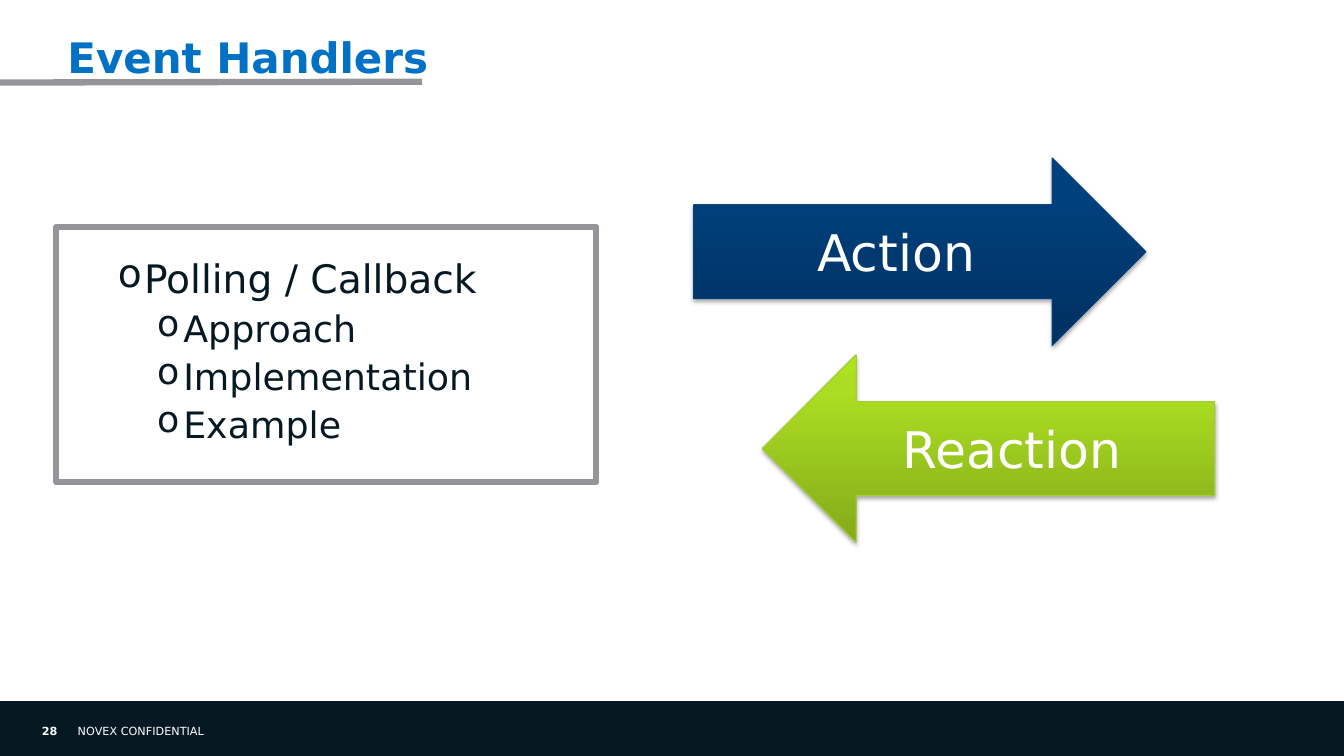
from copy import deepcopy

from pptx import Presentation
from pptx.dml.color import RGBColor
from pptx.enum.shapes import MSO_CONNECTOR, MSO_SHAPE
from pptx.enum.text import MSO_ANCHOR, MSO_AUTO_SIZE, PP_ALIGN
from pptx.oxml import parse_xml
from pptx.oxml.ns import nsdecls, qn
from pptx.util import Cm, Pt

FONT = "DejaVu Sans"
NAVY, GREY, WHITE, BLUE = "061922", "939598", "FFFFFF", "0071C5"
NO_INSETS = dict.fromkeys(
    ("margin_left", "margin_top", "margin_right", "margin_bottom"), 0)


def color(hex_value):
    return RGBColor.from_string(hex_value)


def assign(target, values):
    for name, value in values.items():
        setattr(target, name, value)


def write(paragraph, text, size, hex_value, bold=False, **layout):
    assign(paragraph, layout)
    run = paragraph.add_run()
    run.text = text
    assign(run.font, {"name": FONT, "size": Pt(size), "bold": bold})
    run.font.color.rgb = color(hex_value)


def outline(line, hex_value, width):
    line.color.rgb = color(hex_value)
    line.width = Pt(width)


def add_title(slide, left, top, width, height):
    title = slide.shapes.title
    assign(title, {"left": left, "top": top, "width": width, "height": height})
    assign(title.text_frame, {**NO_INSETS, "word_wrap": True,
                              "vertical_anchor": MSO_ANCHOR.TOP,
                              "auto_size": MSO_AUTO_SIZE.NONE})
    write(title.text_frame.paragraphs[0], "Event Handlers", 30, BLUE, True,
          alignment=PP_ALIGN.LEFT, line_spacing=Pt(26))

    # Underline running in from the slide edge
    underline = slide.shapes.add_connector(
        MSO_CONNECTOR.STRAIGHT, 0, top + Cm(0.94), Cm(10.64), top + Cm(0.92))
    outline(underline.line, GREY, 4.5)
    underline._element.spPr.append(
        parse_xml(f"<a:effectLst {nsdecls('a')}/>"))


def add_topics(slide, left, top, width, height, topics):
    panel = slide.shapes.add_shape(
        MSO_SHAPE.RECTANGLE, left, top, width, height)
    panel.shadow.inherit = False
    panel.fill.background()
    outline(panel.line, GREY, 4.5)
    frame = panel.text_frame
    assign(frame, {**NO_INSETS, "margin_top": Cm(0.7), "word_wrap": True,
                   "vertical_anchor": MSO_ANCHOR.TOP})
    for index, (level, text) in enumerate(topics):
        paragraph = frame.add_paragraph() if index else frame.paragraphs[0]
        properties = paragraph._p.get_or_add_pPr()
        properties.set("marL", str(Cm(2.21 + 0.99 * (level - 1))))
        properties.set("indent", str(-Cm(0.66)))
        properties.append(parse_xml(f'<a:buChar {nsdecls("a")} char="o"/>'))
        write(paragraph, text, 30 - 2 * level, NAVY, level=level,
              alignment=PP_ALIGN.LEFT, space_before=Pt(3 if index else 0))


def add_arrow(slide, left, top, width, height, kind, text, stops, edge):
    arrow = slide.shapes.add_shape(kind, left, top, width, height)

    # Gradient rising from the dark bottom edge
    arrow.fill.gradient()
    arrow.fill.gradient_angle = 90
    stop_list = arrow._element.spPr.find(".//" + qn("a:gsLst"))
    stop_list.append(deepcopy(stop_list[-1]))
    for stop, position, shade in zip(
            arrow.fill.gradient_stops, (0, 0.8, 1), stops):
        stop.position = position
        stop.color.rgb = color(shade)
    outline(arrow.line, edge, 0.75)

    # Soft shadow below
    arrow.shadow.inherit = False
    arrow._element.spPr.find(qn("a:effectLst")).append(parse_xml(
        f'<a:outerShdw {nsdecls("a")} blurRad="{Pt(3.1)}" dist="{Pt(1.8)}" '
        'dir="5400000" rotWithShape="0"><a:srgbClr val="000000">'
        '<a:alpha val="35000"/></a:srgbClr></a:outerShdw>'))

    assign(arrow.text_frame, {"word_wrap": True,
                              "vertical_anchor": MSO_ANCHOR.MIDDLE})
    write(arrow.text_frame.paragraphs[0], text, 36, WHITE,
          alignment=PP_ALIGN.CENTER)


def add_footer(slide, left, top, width, height):
    bar = slide.shapes.add_shape(MSO_SHAPE.RECTANGLE, left, top, width, height)
    bar.shadow.inherit = False
    bar.fill.solid()
    bar.fill.fore_color.rgb = color(NAVY)
    outline(bar.line, NAVY, 0.25)

    notice = slide.shapes.add_textbox(
        left + Cm(1.96), top + Cm(0.56), Cm(10.72), Cm(0.33))
    assign(notice.text_frame, {**NO_INSETS, "word_wrap": True})
    write(notice.text_frame.paragraphs[0], "NOVEX CONFIDENTIAL", 8, WHITE)

    number = slide.shapes.add_textbox(
        left, top + Cm(0.43), Cm(1.7), Cm(0.61))
    assign(number.text_frame, {"word_wrap": True,
                               "vertical_anchor": MSO_ANCHOR.MIDDLE})
    write(number.text_frame.paragraphs[0], "28", 8, WHITE, True,
          alignment=PP_ALIGN.RIGHT)


def main():
    deck = Presentation()
    assign(deck, {"slide_width": Cm(33.87), "slide_height": Cm(19.05)})
    slide = deck.slides.add_slide(deck.slide_layouts[5])

    add_footer(slide, 0, Cm(17.68), deck.slide_width, Cm(1.37))
    add_title(slide, Cm(1.7), Cm(1.14), Cm(30.48), Cm(2.46))
    add_arrow(slide, Cm(17.48), Cm(3.98), Cm(11.4), Cm(4.73),
              MSO_SHAPE.RIGHT_ARROW, "Action",
              ("003160", "00407C", "00407D"), "00417D")
    add_arrow(slide, Cm(19.21), Cm(8.94), Cm(11.4), Cm(4.73),
              MSO_SHAPE.LEFT_ARROW, "Reaction",
              ("84AA1A", "ABDD22", "ADE21E"), "A4CD34")
    add_topics(slide, Cm(1.42), Cm(5.72), Cm(13.61), Cm(6.43),
               [(1, "Polling / Callback"), (2, "Approach"),
                (2, "Implementation"), (2, "Example")])
    deck.save("out.pptx")


if __name__ == "__main__":
    main()
